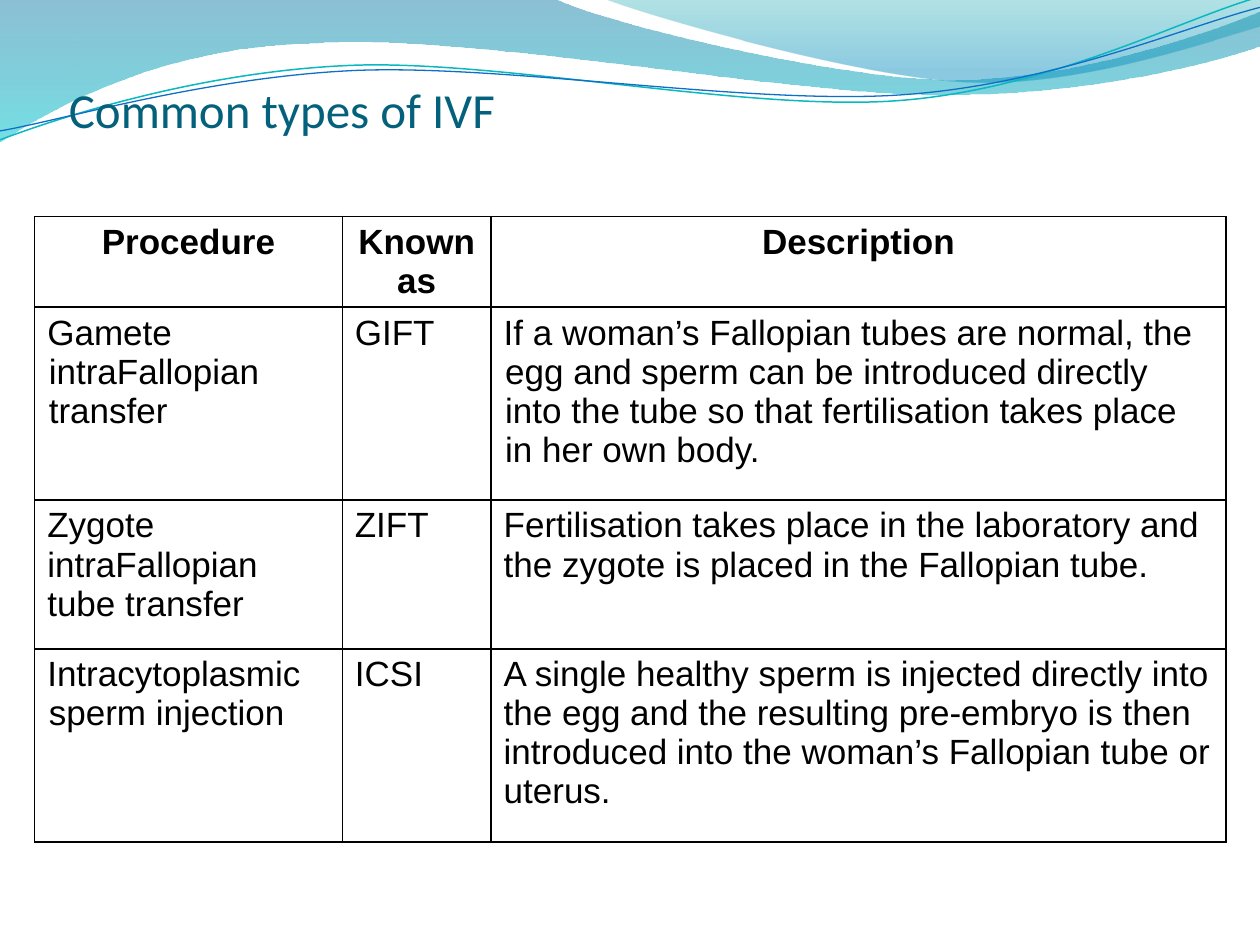
"""Build the slide on common types of IVF: wave banner, title and table."""
from dataclasses import dataclass
from typing import Optional

from lxml import etree
from pptx import Presentation
from pptx import util as u
from pptx.dml import color
from pptx.enum import text
from pptx.oxml import ns


@dataclass
class Wave:
    start: tuple
    segments: list
    stops: tuple = ()
    line: Optional[str] = None
    width: float = 0


@dataclass
class Cell:
    words: str
    hang: float = 0
    align: text.PP_ALIGN = text.PP_ALIGN.LEFT
    bold: bool = False
    tab: bool = True


WAVES = [
    Wave((0, 0), [
        ((11.18, -0.03),),
        ((12.09, 0.43), (16.87, 1.6), (19.25, 1.6)),
        ((21.67, 1.6), (24.33, 0.66), (25.4, 0.23)),
        ((25.43, 0.91),),
        ((24.97, 1.12), (22.1, 1.93), (18.95, 1.91)),
        ((15.8, 1.91), (9.7, 0.71), (6.53, 0.86)),
        ((3.28, 0.91), (1.17, 2.11), (-0.03, 2.87)),
        ((0, 0),),
    ], stops=((0, "0074A1", 45), (1, "00C6CF", 55))),
    Wave((12.17, -0.03), [
        ((12.93, 0.28), (17.32, 1.57), (19.53, 1.65)),
        ((21.74, 1.75), (24.41, 0.81), (25.4, 0.53)),
        ((25.4, 0),),
        ((12.17, -0.03),),
    ], stops=((0, "00A1A9", 30), (0.8, "008BBF", 45))),
    Wave((0, 2.82), [
        ((1.22, 2.36), (4.01, 1.45), (7.04, 1.32)),
        ((10.03, 1.19), (15.06, 2.26), (18.11, 2.03)),
        ((21.16, 1.8), (23.83, 0.38), (25.35, -0.05)),
    ], line="0AB8BF", width=0.85),
    Wave((0, 2.64), [
        ((1.19, 2.44), (4.17, 1.55), (7.19, 1.42)),
        ((10.24, 1.3), (15.16, 2.13), (18.21, 1.91)),
        ((21.23, 1.7), (23.9, 0.53), (25.4, 0.15)),
    ], line="0F6FC6", width=0.75),
]

COLS = (6.2, 3, 14.81)
ROWS = (0.97, 3.89, 3, 3.89)
HANG, NUDGE = 0.97, 0.03
HEAD = {"align": text.PP_ALIGN.CENTER, "bold": True}
CELLS = [
    [Cell("Procedure", HANG, **HEAD), Cell("Known as", tab=False, **HEAD),
     Cell("Description", HANG, **HEAD)],
    [Cell("Gamete intraFallopian transfer", NUDGE), Cell("GIFT", HANG),
     Cell("If a woman’s Fallopian tubes are normal, the egg and sperm can be introduced directly "
          "into the tube so that fertilisation takes place in her own body.", NUDGE)],
    [Cell("Zygote intraFallopian tube transfer"), Cell("ZIFT", HANG),
     Cell("Fertilisation takes place in the laboratory and the zygote is placed in the "
          "Fallopian tube.")],
    [Cell("Intracytoplasmic sperm injection", NUDGE), Cell("ICSI", HANG),
     Cell("A single healthy sperm is injected directly into the egg and the resulting pre-embryo "
          "is then introduced into the woman’s Fallopian tube or uterus.")],
]


def rgb(value: str) -> color.RGBColor:
    """Turn a hex string into a colour."""
    return color.RGBColor.from_string(value)


def set_all(obj, values: dict) -> None:
    """Set each named attribute of an object."""
    for name, value in values.items():
        setattr(obj, name, value)


def style_run(r, font: str, size: float, hex_color: str, bold: bool = False) -> None:
    """Format the font of a run."""
    set_all(r.font, {"name": font, "size": u.Pt(size), "bold": bold})
    r.font.color.rgb = rgb(hex_color)


def bend(sp, segments: list) -> None:
    """Turn each run of three outline points into one cubic curve."""
    lines = iter(list(sp._element.iter(ns.qn("a:lnTo"))))
    for seg in segments:
        parts = [next(lines) for _ in seg]
        if len(seg) == 3:
            curve = etree.Element(ns.qn("a:cubicBezTo"))
            parts[0].addprevious(curve)
            for part in parts:
                curve.append(part[0])
                part.getparent().remove(part)


def draw_wave(s, master, wave: Wave) -> None:
    """Draw a gradient band or a thin curve on the master."""
    builder = s.shapes.build_freeform(*(u.Cm(v) for v in wave.start))
    points = [(u.Cm(x), u.Cm(y)) for seg in wave.segments for x, y in seg]
    builder.add_line_segments(points, close=bool(wave.stops))
    sp = builder.convert_to_shape()
    bend(sp, wave.segments)
    sp.shadow.inherit = False
    if wave.line:
        sp.fill.background()
        sp.line.color.rgb = rgb(wave.line)
        sp.line.width = u.Pt(wave.width)
    else:
        sp.line.fill.background()
        sp.fill.gradient()
        sp.fill.gradient_angle = 270
        for stop, (position, hex_color, _) in zip(sp.fill.gradient_stops, wave.stops):
            stop.position = position
            stop.color.rgb = rgb(hex_color)
        for clr, (_, _, opacity) in zip(sp._element.spPr.iter(ns.qn("a:srgbClr")), wave.stops):
            etree.SubElement(clr, ns.qn("a:alpha"), val=str(opacity * 1000))
    master.shapes._spTree.append(sp._element)


def draw_title(s, words: str) -> None:
    """Place and format the title above the banner."""
    sp = s.shapes.title
    set_all(sp, {"left": u.Cm(1.39), "top": u.Cm(1.18), "width": u.Cm(22.86), "height": u.Cm(1.6)})
    tf = sp.text_frame
    set_all(tf, {"margin_left": 0, "margin_top": u.Cm(0.13), "margin_right": 0,
                 "margin_bottom": 0, "word_wrap": True, "auto_size": text.MSO_AUTO_SIZE.NONE,
                 "vertical_anchor": text.MSO_ANCHOR.BOTTOM})
    p = tf.paragraphs[0]
    p.alignment = text.PP_ALIGN.LEFT
    r = p.add_run()
    r.text = words
    style_run(r, "Calibri", 28, "04617B")
    s.shapes._spTree.append(sp._element)


def fill_cell(target, cell: Cell) -> None:
    """Write one table cell with its borders."""
    target.fill.background()
    props = target._tc.get_or_add_tcPr()
    for i, side in enumerate(("lnL", "lnR", "lnT", "lnB")):
        ln = etree.Element(ns.qn(f"a:{side}"), w=str(u.Pt(1)))
        solid = etree.SubElement(ln, ns.qn("a:solidFill"))
        etree.SubElement(solid, ns.qn("a:srgbClr"), val="000000")
        props.insert(i, ln)
    p = target.text_frame.paragraphs[0]
    p.alignment = cell.align
    pPr = p._p.get_or_add_pPr()
    if cell.hang:
        pPr.set("marL", str(u.Cm(cell.hang)))
        pPr.set("indent", str(-u.Cm(cell.hang)))
    if cell.tab:
        tabs = etree.SubElement(pPr, ns.qn("a:tabLst"))
        etree.SubElement(tabs, ns.qn("a:tab"), pos=str(u.Cm(1.27)), algn="l")
    r = p.add_run()
    r.text = cell.words
    style_run(r, "Arial", 20, "000000", cell.bold)


def draw_table(s) -> None:
    """Add the table of procedures."""
    table = s.shapes.add_table(len(ROWS), len(COLS), u.Cm(0.7), u.Cm(4.36),
                               u.Cm(sum(COLS)), u.Cm(sum(ROWS))).table
    set_all(table, {"first_row": False, "horz_banding": False})
    for column, width in zip(table.columns, COLS):
        column.width = u.Cm(width)
    for row, height, cells in zip(table.rows, ROWS, CELLS):
        row.height = u.Cm(height)
        for target, cell in zip(row.cells, cells):
            fill_cell(target, cell)


def main() -> None:
    """Build and save the slide."""
    prs = Presentation()
    set_all(prs, {"slide_width": u.Cm(25.4), "slide_height": u.Cm(19.05)})
    s = prs.slides.add_slide(prs.slide_layouts[5])
    for wave in WAVES:
        draw_wave(s, prs.slide_master, wave)
    draw_table(s)
    draw_title(s, "Common types of IVF")
    prs.save("out.pptx")


if __name__ == "__main__":
    main()
